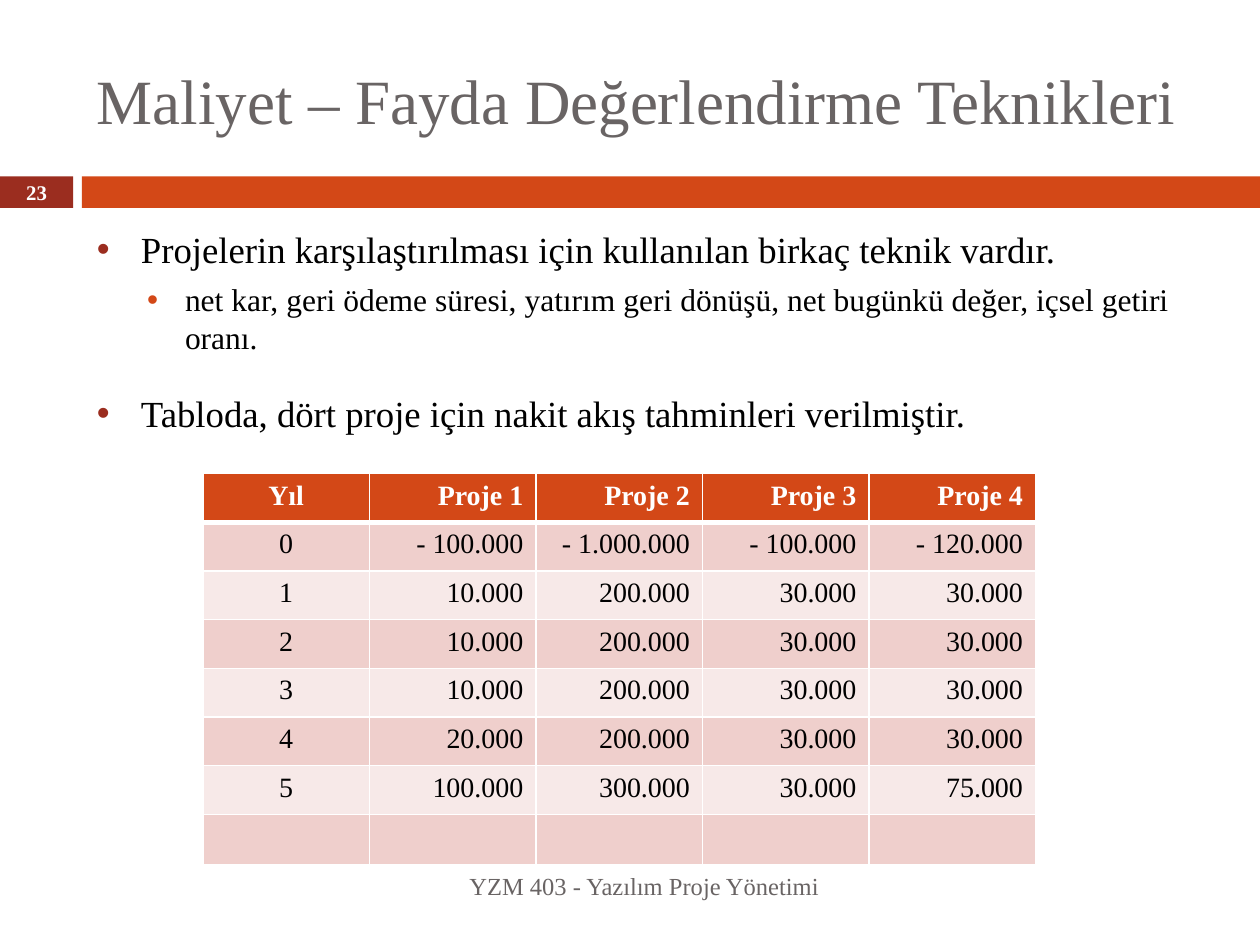
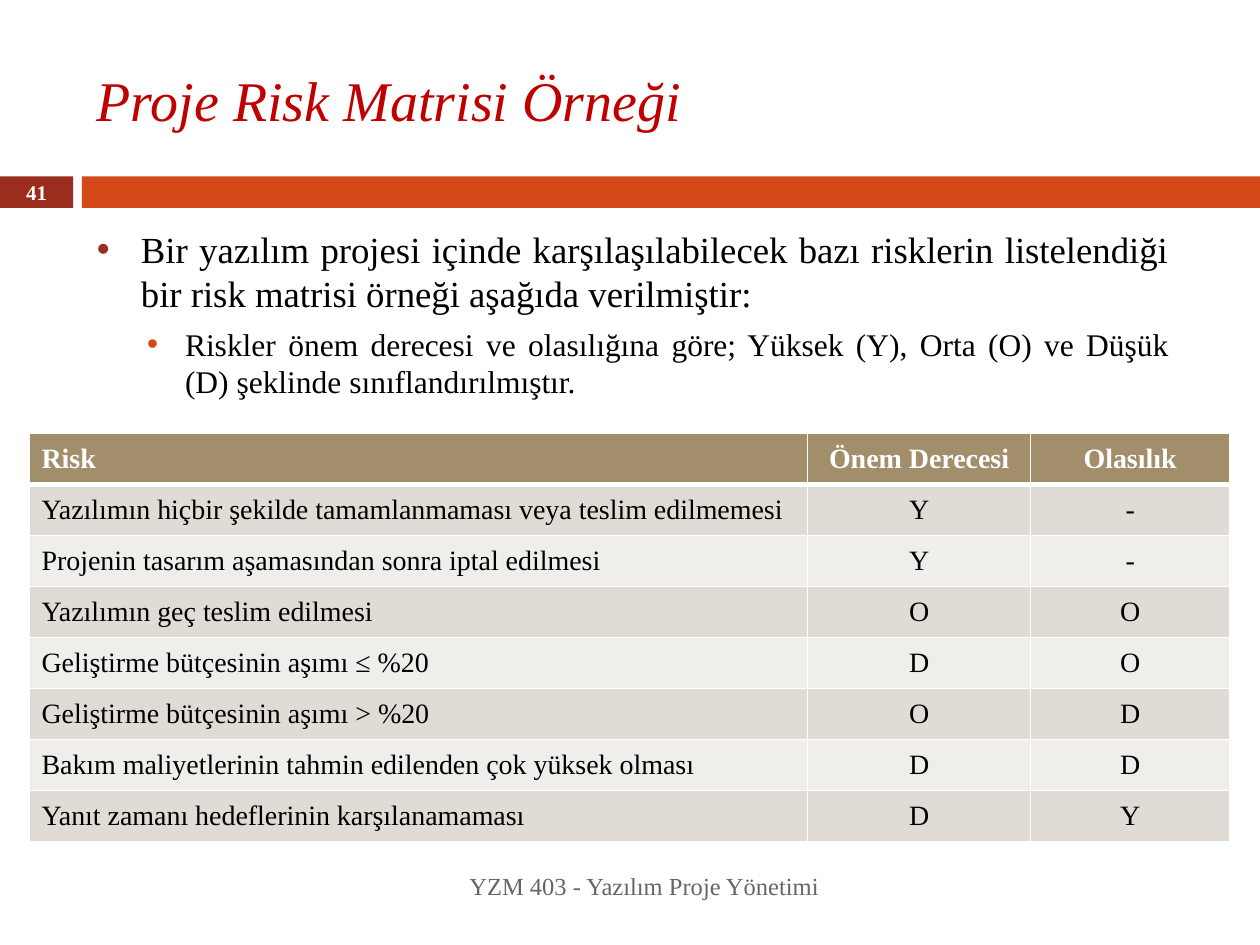
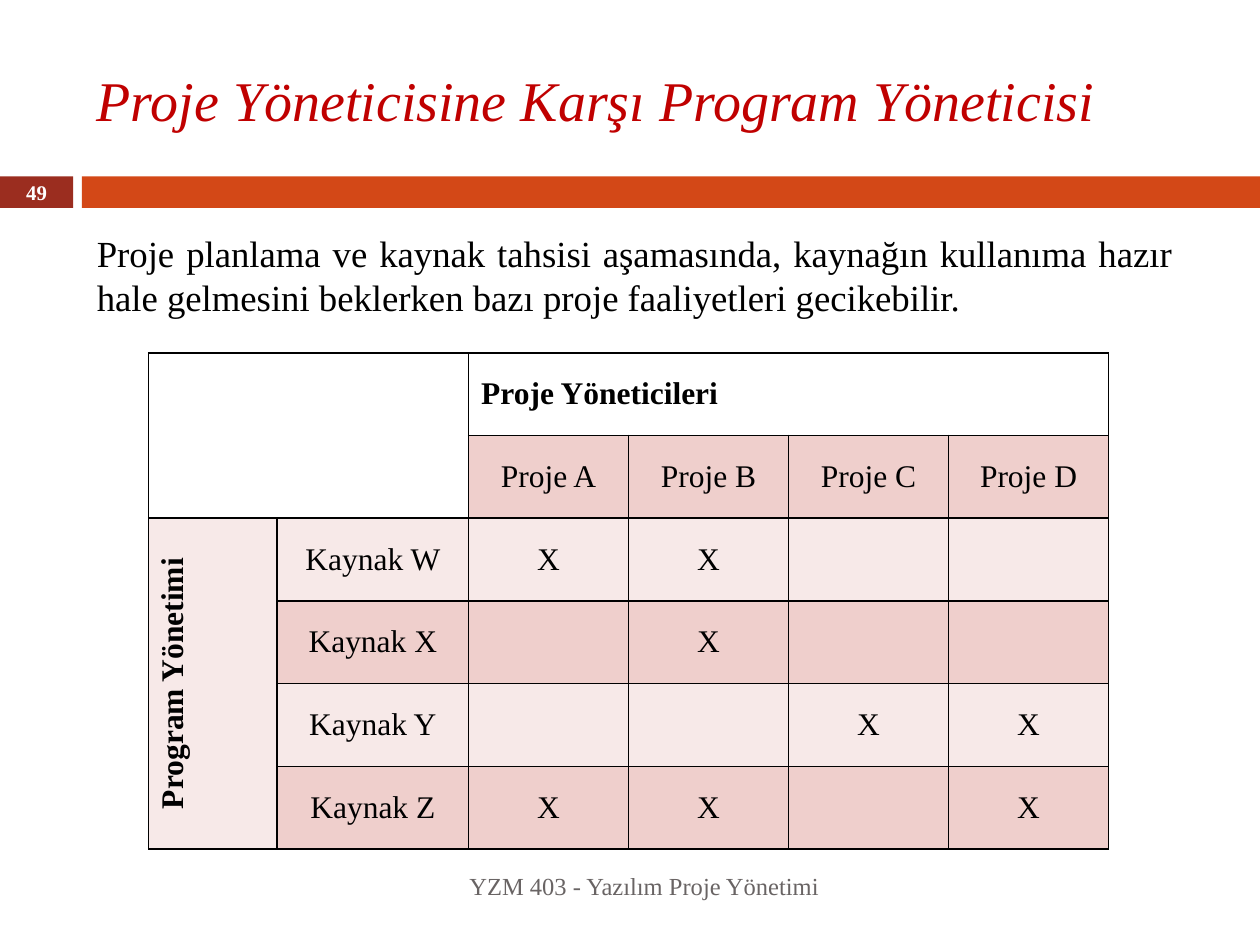
from lxml import etree
from pptx import Presentation
from pptx.dml.color import RGBColor
from pptx.enum.shapes import MSO_SHAPE as SHAPE
from pptx.enum.text import MSO_ANCHOR as ANCHOR, PP_ALIGN as ALIGN
from pptx.oxml.ns import qn
from pptx.util import Inches, Pt

FONT = "Times New Roman"
WHITE = RGBColor(0xFF, 0xFF, 0xFF)
BLACK = RGBColor(0, 0, 0)
GRAY = RGBColor(0x69, 0x64, 0x64)
RED = RGBColor(0xC0, 0, 0)
BRICK = RGBColor(0x9B, 0x2D, 0x1F)
ORANGE = RGBColor(0xD3, 0x48, 0x17)
TAN = RGBColor(0xA2, 0x8E, 0x6A)
PINKS = (RGBColor(0xEF, 0xCF, 0xCC), RGBColor(0xF7, 0xE9, 0xE8))
SANDS = (RGBColor(0xE0, 0xDB, 0xD4), RGBColor(0xF0, 0xEE, 0xEB))
LEFT, CENTER, RIGHT, JUSTIFY = ALIGN.LEFT, ALIGN.CENTER, ALIGN.RIGHT, ALIGN.JUSTIFY


def write(tf, text, size, color=BLACK, bold=False, italic=False, align=LEFT,
          anchor=ANCHOR.TOP, before=0, level=None):
    tf.word_wrap = True
    tf.vertical_anchor = anchor
    p = tf.add_paragraph() if tf.paragraphs[0].runs else tf.paragraphs[0]
    p.alignment = align
    if before:
        p.space_before = Pt(before)
    if level is not None:
        left, hang, bullet_color = ((0.35, 0.35, BRICK), (0.7, 0.3, ORANGE))[level]
        p.level = level
        pPr = p._p.get_or_add_pPr()
        pPr.set("marL", str(Inches(left)))
        pPr.set("indent", str(-Inches(hang)))
        clr = etree.SubElement(pPr, qn("a:buClr"))
        etree.SubElement(clr, qn("a:srgbClr"), val=str(bullet_color))
        etree.SubElement(pPr, qn("a:buFont"), typeface="Arial")
        etree.SubElement(pPr, qn("a:buChar"), char="•")
    r = p.add_run()
    r.text = text
    r.font.name = FONT
    r.font.size = Pt(size)
    r.font.bold = bold
    r.font.italic = italic
    r.font.color.rgb = color


def add_grid(s, rows, box, aligns, size, header, header_text, bands, line,
             header_line=1, anchor=ANCHOR.MIDDLE):
    table = s.shapes.add_table(len(rows), len(rows[0]), *map(Inches, box)).table
    table.first_row = table.horz_banding = False
    for i, row in enumerate(rows):
        for j, text in enumerate(row):
            cell = table.cell(i, j)
            tcPr = cell._tc.get_or_add_tcPr()
            for side in ("lnL", "lnR", "lnT", "lnB"):
                thick = (i, side) in ((0, "lnB"), (1, "lnT"))
                width = Pt(header_line if thick else 1)
                ln = etree.SubElement(tcPr, qn("a:" + side), w=str(width))
                fill = etree.SubElement(ln, qn("a:solidFill"))
                etree.SubElement(fill, qn("a:srgbClr"), val=str(line))
            cell.fill.solid()
            cell.fill.fore_color.rgb = bands[(i - 1) % 2] if i else header
            cell.vertical_anchor = anchor
            if text:
                write(cell.text_frame, text, size, BLACK if i else header_text,
                      bold=i == 0, align=aligns[j], anchor=anchor)
    return table


prs = Presentation()
prs.slide_width = Inches(10)
prs.slide_height = Inches(7.5)

slides = []
for title, number, style in (
    ("Maliyet – Fayda Değerlendirme Teknikleri", "23", dict(size=36, color=GRAY)),
    ("Proje Risk Matrisi Örneği", "41", dict(size=32, color=RED, italic=True)),
    ("Proje Yöneticisine Karşı Program Yöneticisi", "49",
     dict(size=32, color=RED, italic=True)),
):
    s = prs.slides.add_slide(prs.slide_layouts[6])
    slides.append(s)
    for left, width, color in ((0, 0.58, BRICK), (0.65, 9.35, ORANGE)):
        sp = s.shapes.add_shape(SHAPE.RECTANGLE, Inches(left), Inches(1.4),
                                Inches(width), Inches(0.25))
        sp.shadow.inherit = False
        sp.fill.solid()
        sp.fill.fore_color.rgb = color
        sp.line.fill.background()
    for text, box, fmt in (
        (title, (0.67, 0.25, 8.92, 1.08), style),
        ("YZM 403 - Yazılım Proje Yönetimi", (0.67, 6.83, 5.93, 0.4),
         dict(size=14, color=GRAY, align=RIGHT)),
        (number, (0, 1.39, 0.58, 0.27),
         dict(size=11.9, color=WHITE, bold=True, align=CENTER)),
    ):
        tf = s.shapes.add_textbox(*map(Inches, box)).text_frame
        write(tf, text, anchor=ANCHOR.MIDDLE, **fmt)

cash, risk, managers = slides

tf = cash.shapes.add_textbox(Inches(0.67), Inches(1.75), Inches(8.71), Inches(1.76)).text_frame
write(tf, "Projelerin karşılaştırılması için kullanılan birkaç teknik vardır.", 21,
      align=JUSTIFY, level=0)
write(tf, "net kar, geri ödeme süresi, yatırım geri dönüşü, net bugünkü değer, "
      "içsel getiri oranı.", 18, align=JUSTIFY, before=5.5, level=1)
write(tf, "Tabloda, dört proje için nakit akış tahminleri verilmiştir.", 21,
      align=JUSTIFY, before=20, level=0)
cash_rows = [
    ("Yıl", "Proje 1", "Proje 2", "Proje 3", "Proje 4"),
    ("0", "- 100.000", "- 1.000.000", "- 100.000", "- 120.000"),
    ("1", "10.000", "200.000", "30.000", "30.000"),
    ("2", "10.000", "200.000", "30.000", "30.000"),
    ("3", "10.000", "200.000", "30.000", "30.000"),
    ("4", "20.000", "200.000", "30.000", "30.000"),
    ("5", "100.000", "300.000", "30.000", "75.000"),
    ("",) * 5,
]
add_grid(cash, cash_rows, (1.61, 3.76, 6.61, 3.09), [CENTER] + [RIGHT] * 4, 16,
         ORANGE, WHITE, PINKS, WHITE, header_line=3, anchor=ANCHOR.TOP)

tf = risk.shapes.add_textbox(Inches(0.67), Inches(1.75), Inches(8.71), Inches(1.61)).text_frame
write(tf, "Bir yazılım projesi içinde karşılaşılabilecek bazı risklerin listelendiği "
      "bir risk matrisi örneği aşağıda verilmiştir:", 21, align=JUSTIFY, level=0)
write(tf, "Riskler önem derecesi ve olasılığına göre; Yüksek (Y), Orta (O) ve Düşük (D) "
      "şeklinde sınıflandırılmıştır.", 18, align=JUSTIFY, before=5.5, level=1)
risk_rows = [
    ("Risk", "Önem Derecesi", "Olasılık"),
    ("Yazılımın hiçbir şekilde tamamlanmaması veya teslim edilmemesi", "Y", "-"),
    ("Projenin tasarım aşamasından sonra iptal edilmesi", "Y", "-"),
    ("Yazılımın geç teslim edilmesi", "O", "O"),
    ("Geliştirme bütçesinin aşımı ≤ %20", "D", "O"),
    ("Geliştirme bütçesinin aşımı > %20", "O", "D"),
    ("Bakım maliyetlerinin tahmin edilenden çok yüksek olması", "D", "D"),
    ("Yanıt zamanı hedeflerinin karşılanamaması", "D", "Y"),
]
table = add_grid(risk, risk_rows, (0.23, 3.44, 9.53, 3.24), [LEFT, CENTER, CENTER], 16,
                 TAN, WHITE, SANDS, WHITE, header_line=3)
for column, width in zip(table.columns, (6.18, 1.77, 1.58)):
    column.width = Inches(width)

tf = managers.shapes.add_textbox(Inches(0.67), Inches(1.78), Inches(8.74), Inches(0.81)).text_frame
write(tf, "Proje planlama ve kaynak tahsisi aşamasında, kaynağın kullanıma hazır hale "
      "gelmesini beklerken bazı proje faaliyetleri gecikebilir.", 21, align=JUSTIFY)
manager_rows = [
    ("", "", "Proje Yöneticileri", "", "", ""),
    ("", "", "Proje A", "Proje B", "Proje C", "Proje D"),
    ("Program Yönetimi", "Kaynak W", "X", "X", "", ""),
    ("", "Kaynak X", "", "X", "", ""),
    ("", "Kaynak Y", "", "", "X", "X"),
    ("", "Kaynak Z", "X", "X", "", "X"),
]
table = add_grid(managers, manager_rows, (1.18, 2.8, 7.64, 3.94), [CENTER] * 6, 18,
                 WHITE, BLACK, PINKS, BLACK)
for column, width in zip(table.columns, (1.02, 1.52, 1.27, 1.27, 1.27, 1.27)):
    column.width = Inches(width)
for first, last in (((0, 0), (1, 1)), ((0, 2), (0, 5)), ((2, 0), (5, 0))):
    table.cell(*first).merge(table.cell(*last))
table.cell(0, 2).text_frame.paragraphs[0].alignment = LEFT
program = table.cell(2, 0)
program.text_frame.paragraphs[0].runs[0].font.bold = True
program._tc.get_or_add_tcPr().set("vert", "vert270")

prs.save("out.pptx")
